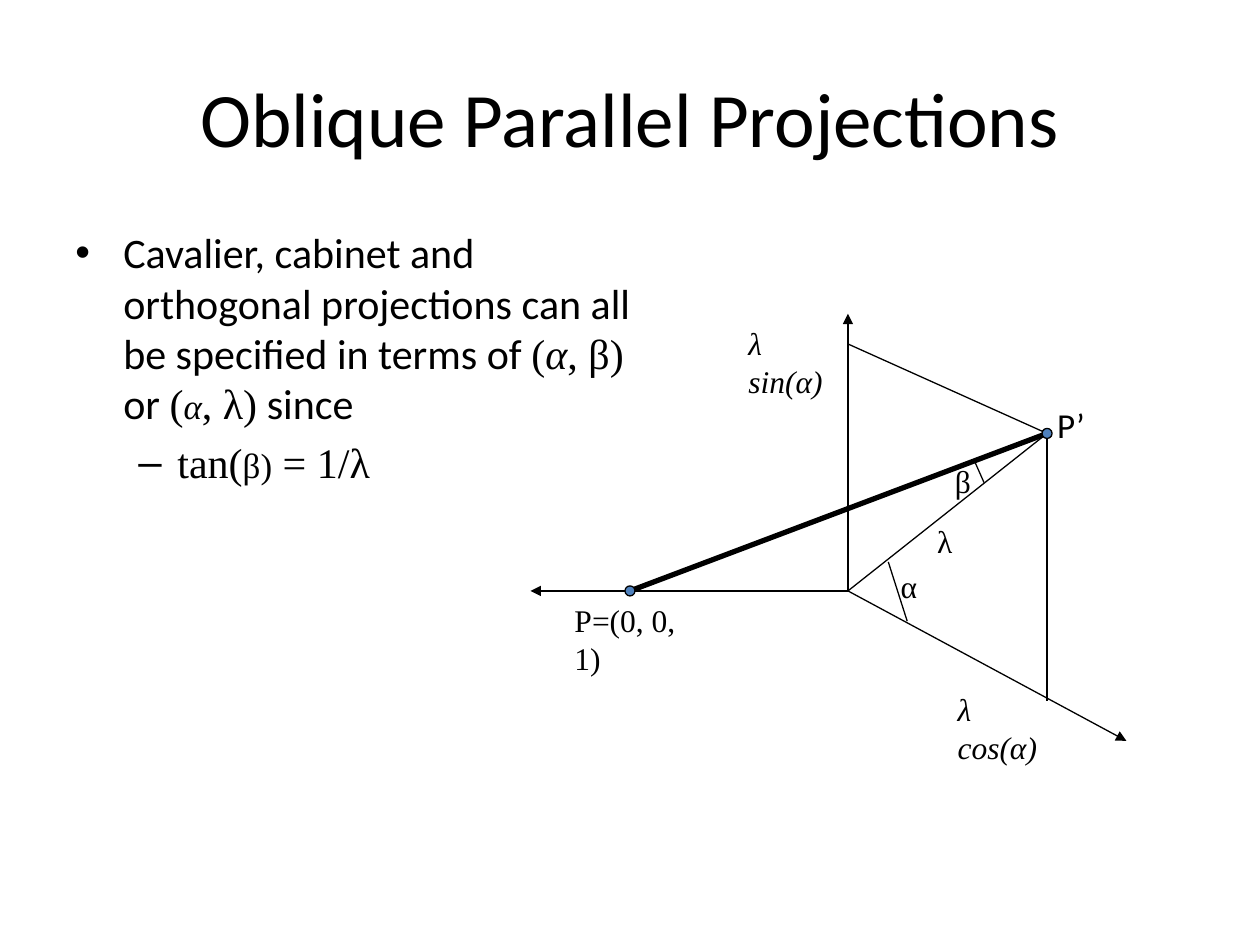
from lxml import etree
from pptx import Presentation, util as u
from pptx.dml.color import RGBColor
from pptx.enum import shapes, text
from pptx.oxml.ns import qn

PX = 9144  # 100 px to the inch
SANS, SERIF = "Calibri", "Times New Roman"
BLACK, BLUE = "000000", "4F81BD"


def px(*values):
    return [u.Emu(v * PX) for v in values]


def color(value):
    return RGBColor.from_string(value)


def add_run(p, words, size, font, italic=False):
    r = p.add_run()
    r.text = words
    r.font.size = u.Pt(size)
    r.font.name = font
    r.font.italic = italic
    r.font.color.rgb = color(BLACK)


def add_box(s, box):
    tf = s.shapes.add_textbox(*px(*box)).text_frame
    tf.word_wrap = True
    return tf


def add_bullet(p, mark, margin, hanging):
    """Give the paragraph a bullet with a hanging indent, in px."""
    pPr = p._p.get_or_add_pPr()
    pPr.set("marL", str(margin * PX))
    pPr.set("indent", str(-hanging * PX))
    etree.SubElement(pPr, qn("a:buFont")).set("typeface", "Arial")
    etree.SubElement(pPr, qn("a:buChar")).set("char", mark)


def add_title(s, box):
    tf = add_box(s, box)
    tf.vertical_anchor = text.MSO_ANCHOR.MIDDLE
    p = tf.paragraphs[0]
    p.alignment = text.PP_ALIGN.CENTER
    add_run(p, "Oblique Parallel Projections", 44, SANS)


def add_body(s, box):
    tf = add_box(s, box)
    p = tf.paragraphs[0]
    add_bullet(p, "•", 38, 38)
    for run in [
        ("Cavalier, cabinet and orthogonal projections can all "
         "be specified in terms of ", 24, SANS),
        ("(", 24, SERIF),
        ("α", 24, SERIF, True),
        (", β) ", 24, SERIF),
        ("or ", 24, SANS),
        ("(", 24, SERIF),
        ("α", 20, SERIF, True),
        (", λ)", 24, SERIF),
        (" since", 24, SANS),
    ]:
        add_run(p, *run)

    p = tf.add_paragraph()
    p.level = 1
    p.space_before = u.Pt(5)
    add_bullet(p, "–", 81, 31)
    for words, size in [("tan(", 24), ("β)", 20), (" = 1/λ", 24)]:
        add_run(p, words, size, SERIF)


def add_diagram(s, box):
    left, top = box[:2]

    def line(start, end, width=0.75, arrow=False):
        c = s.shapes.add_connector(
            shapes.MSO_CONNECTOR.STRAIGHT,
            *px(left + start[0], top + start[1], left + end[0], top + end[1]))
        c.line.color.rgb = color(BLACK)
        c.line.width = u.Pt(width)
        if arrow:
            ln = c.line._get_or_add_ln()
            etree.SubElement(ln, qn("a:tailEnd")).set("type", "triangle")
        etree.SubElement(c._element.spPr, qn("a:effectLst"))

    def dot(center, size=8):
        x, y = center
        sp = s.shapes.add_shape(
            shapes.MSO_SHAPE.OVAL,
            *px(left + x - size // 2, top + y - size // 2, size, size))
        sp.shadow.inherit = False
        sp.fill.solid()
        sp.fill.fore_color.rgb = color(BLUE)
        sp.line.color.rgb = color(BLACK)
        sp.line.width = u.Pt(0.75)

    def label(words, x, y, w, h, size=18, font=SERIF, italic=False, inset=(0, 0)):
        tf = add_box(s, (left + x, top + y, w, h))
        tf.word_wrap = False
        tf.auto_size = text.MSO_AUTO_SIZE.SHAPE_TO_FIT_TEXT
        tf.margin_left = tf.margin_right = px(inset[0])[0]
        tf.margin_top = tf.margin_bottom = px(inset[1])[0]
        add_run(tf.paragraphs[0], words, size, font, italic)

    origin, point, projected = (252, 220), (79, 220), (410, 95)
    for axis_end in [(0, 220), (473, 339), (252, 0)]:
        line(origin, axis_end, arrow=True)
    for start in [(410, 307), (252, 24), origin]:
        line(start, projected)
    line(point, projected, width=3)
    dot(projected)
    dot(point)
    line((352, 116), (360, 134))  # angle β
    line((284, 197), (299, 244))  # angle α

    for letter, x, y in [("α", 284, 196), ("β", 327, 113), ("λ", 313, 160)]:
        label(letter, x, y, 33, 40, inset=(10, 5))
    label("P=(0, 0, 1)", 35, 228, 107, 30)
    label("P’", 418, 71, 25, 33, size=20, font=SANS)
    label("λ cos(α)", 339, 299, 80, 30, italic=True)
    label("λ sin(α)", 173, 8, 76, 30, italic=True)


def main():
    prs = Presentation()
    prs.slide_width, prs.slide_height = px(1000, 750)
    s = prs.slides.add_slide(prs.slide_layouts[6])
    add_title(s, (50, 30, 900, 125))
    add_body(s, (50, 175, 489, 460))
    add_diagram(s, (421, 249, 473, 339))
    prs.save("out.pptx")


if __name__ == "__main__":
    main()
